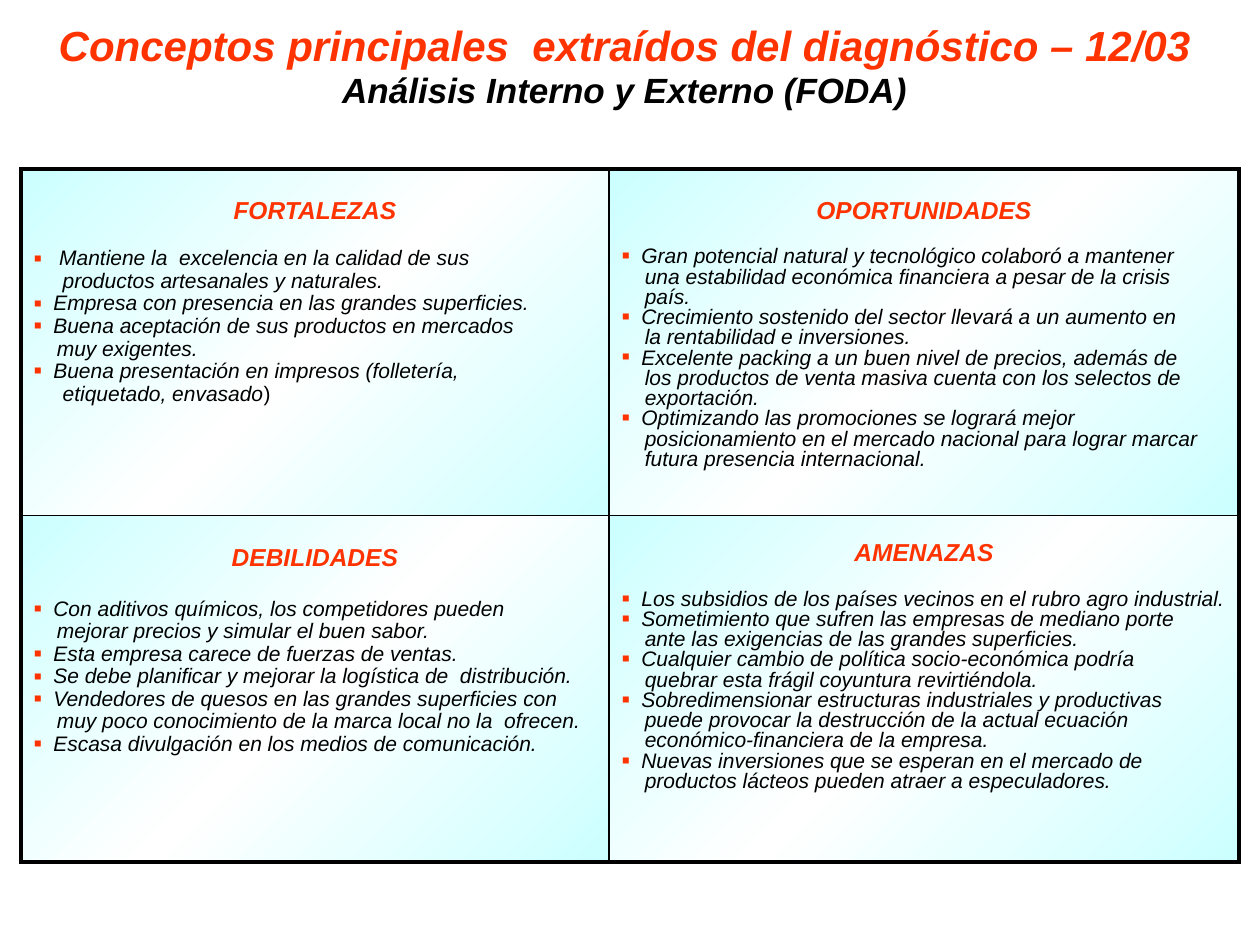
from dataclasses import dataclass

from lxml.etree import SubElement
from pptx import Presentation
from pptx.dml.color import RGBColor
from pptx.enum.text import MSO_ANCHOR, MSO_AUTO_SIZE, PP_ALIGN
from pptx.oxml.ns import qn
from pptx.util import Pt

RED = RGBColor(0xFF, 0x33, 0x00)
BLACK = RGBColor(0x00, 0x00, 0x00)
WHITE = RGBColor(0xFF, 0xFF, 0xFF)
CYAN = RGBColor(0xCC, 0xFF, 0xFF)

FONT = "Arial"
OUTER_LINE, INNER_LINE = Pt(2.25), Pt(1)
BULLET_INDENT, CONTINUATION_INDENT = 11.3, 13.3
SPACE_WIDTH = 3.33
LINE_GAP = 2.15


@dataclass(frozen=True)
class Item:
    """A bulleted line with the lines that continue it."""
    lines: tuple[str, ...]
    first_shift: float = 0
    next_shift: float = 0
    upright_end: str = ""


@dataclass(frozen=True)
class Quadrant:
    row: int
    column: int
    heading: str
    items: tuple[Item, ...]
    heading_spacing: float
    item_spacing: float
    top_margin: float
    gap: float


QUADRANTS = (
    Quadrant(0, 0, "FORTALEZAS", (
        Item(("Mantiene la  excelencia en la calidad de sus",
              "productos artesanales y naturales."), SPACE_WIDTH, SPACE_WIDTH),
        Item(("Empresa con presencia en las grandes superficies.",)),
        Item(("Buena aceptación de sus productos en mercados", "muy exigentes.")),
        Item(("Buena presentación en impresos (folletería,", "etiquetado, envasado"),
             next_shift=SPACE_WIDTH, upright_end=")"),
    ), 0.8, 0.8, 18.9, 15.3),
    Quadrant(0, 1, "OPORTUNIDADES", (
        Item(("Gran potencial natural y tecnológico colaboró a mantener",
              "una estabilidad económica financiera a pesar de la crisis", "país.")),
        Item(("Crecimiento sostenido del sector llevará a un aumento en",
              "la rentabilidad e inversiones.")),
        Item(("Excelente packing a un buen nivel de precios, además de",
              "los productos de venta masiva cuenta con los selectos de", "exportación.")),
        Item(("Optimizando las promociones se logrará mejor",
              "posicionamiento en el mercado nacional para lograr marcar",
              "futura presencia internacional.")),
    ), 0.8, 0.7, 18.9, 15.3),
    Quadrant(1, 0, "DEBILIDADES", (
        Item(("Con aditivos químicos, los competidores pueden",
              "mejorar precios y simular el buen sabor.")),
        Item(("Esta empresa carece de fuerzas de ventas.",)),
        Item(("Se debe planificar y mejorar la logística de  distribución.",)),
        Item(("Vendedores de quesos en las grandes superficies con",
              "muy poco conocimiento de la marca local no la  ofrecen.")),
        Item(("Escasa divulgación en los medios de comunicación.",)),
    ), 0.8, 0.8, 18.9, 17.5),
    Quadrant(1, 1, "AMENAZAS", (
        Item(("Los subsidios de los países vecinos en el rubro agro industrial.",)),
        Item(("Sometimiento que sufren las empresas de mediano porte",
              "ante las exigencias de las grandes superficies.")),
        Item(("Cualquier cambio de política socio-económica podría",
              "quebrar esta frágil coyuntura revirtiéndola.")),
        Item(("Sobredimensionar estructuras industriales y productivas",
              "puede provocar la destrucción de la actual ecuación",
              "económico-financiera de la empresa.")),
        Item(("Nuevas inversiones que se esperan en el mercado de",
              "productos lácteos pueden atraer a especuladores.")),
    ), 0.7, 0.7, 17.5, 15.9),
)


def add_span(para, text: str, *, size: float, color: RGBColor = BLACK,
             bold: bool = False, italic: bool = True) -> None:
    span = para.add_run()
    span.text = text
    font = span.font
    font.name, font.size, font.bold, font.italic = FONT, Pt(size), bold, italic
    font.color.rgb = color


def add_para(frame, text: str, *, spacing: float, before: float = LINE_GAP,
             align: PP_ALIGN = PP_ALIGN.LEFT, **span_format):
    """Fill the frame's first paragraph, or append one when it is taken."""
    para = frame.paragraphs[0] if not frame.text else frame.add_paragraph()
    para.alignment = align
    para.line_spacing = spacing
    para.space_before, para.space_after = Pt(before), Pt(0)
    add_span(para, text, **span_format)
    return para


def indent(para, left: float, bulleted: bool) -> None:
    properties = para._p.get_or_add_pPr()
    properties.set("marL", str(Pt(left)))
    properties.set("indent", str(-Pt(left) if bulleted else 0))
    if bulleted:
        color = SubElement(properties, qn("a:buClr"))
        SubElement(color, qn("a:srgbClr"), val=str(RED))
        SubElement(properties, qn("a:buSzPct"), val="115000")
        SubElement(properties, qn("a:buFont"), typeface=FONT)
        SubElement(properties, qn("a:buChar"), char="▪")


def style_cell(cell, row: int, column: int) -> None:
    """Draw the cell's borders and its diagonal gradient."""
    properties = cell._tc.get_or_add_tcPr()
    outer_sides = {"a:lnL": column == 0, "a:lnR": column == 1,
                   "a:lnT": row == 0, "a:lnB": row == 1}
    for tag, is_outer in outer_sides.items():
        width = OUTER_LINE if is_outer else INNER_LINE
        line = SubElement(properties, qn(tag), w=str(width))
        fill = SubElement(line, qn("a:solidFill"))
        SubElement(fill, qn("a:srgbClr"), val=str(BLACK))
    gradient = SubElement(properties, qn("a:gradFill"), rotWithShape="1")
    stops = SubElement(gradient, qn("a:gsLst"))
    for position, color in ((0, CYAN), (50, WHITE), (100, CYAN)):
        stop = SubElement(stops, qn("a:gs"), pos=str(position * 1000))
        SubElement(stop, qn("a:srgbClr"), val=str(color))
    SubElement(gradient, qn("a:lin"), ang=str(45 * 60000), scaled="1")


def fill_quadrant(table, quadrant: Quadrant) -> None:
    cell = table.cell(quadrant.row, quadrant.column)
    cell.margin_top = Pt(quadrant.top_margin)
    style_cell(cell, quadrant.row, quadrant.column)
    frame = cell.text_frame
    add_para(frame, quadrant.heading, spacing=quadrant.heading_spacing,
             align=PP_ALIGN.CENTER, size=14, color=RED, bold=True)
    before = quadrant.gap
    for item in quadrant.items:
        for number, text in enumerate(item.lines):
            para = add_para(frame, text, spacing=quadrant.item_spacing,
                            before=before, size=12)
            before = LINE_GAP
            if number == 0:
                indent(para, BULLET_INDENT + item.first_shift, True)
            else:
                indent(para, CONTINUATION_INDENT + item.next_shift, False)
        if item.upright_end:
            add_span(para, item.upright_end, size=12, italic=False)


def add_title(page) -> None:
    title = page.shapes.title
    title.left, title.top, title.width, title.height = Pt(18), Pt(20), Pt(678), Pt(45)
    frame = title.text_frame
    frame.word_wrap = True
    frame.auto_size = MSO_AUTO_SIZE.NONE
    frame.vertical_anchor = MSO_ANCHOR.TOP
    for text, size, color, before in (
            ("Conceptos principales  extraídos del diagnóstico – 12/03", 24, RED, 0),
            ("Análisis Interno y Externo (FODA)", 20, BLACK, 11.5)):
        add_para(frame, text, spacing=0.5, before=before, align=PP_ALIGN.CENTER,
                 size=size, color=color, bold=True)


def add_matrix(page) -> None:
    table = page.shapes.add_table(2, 2, Pt(12), Pt(96.5), Pt(696), Pt(396)).table
    table.first_row = table.horz_banding = False
    for column, width in zip(table.columns, (336, 360)):
        column.width = Pt(width)
    for quadrant in QUADRANTS:
        fill_quadrant(table, quadrant)


def main() -> None:
    deck = Presentation()
    deck.slide_width, deck.slide_height = Pt(720), Pt(540)
    page = deck.slides.add_slide(deck.slide_layouts[5])
    add_title(page)
    add_matrix(page)
    deck.save("out.pptx")


if __name__ == "__main__":
    main()
